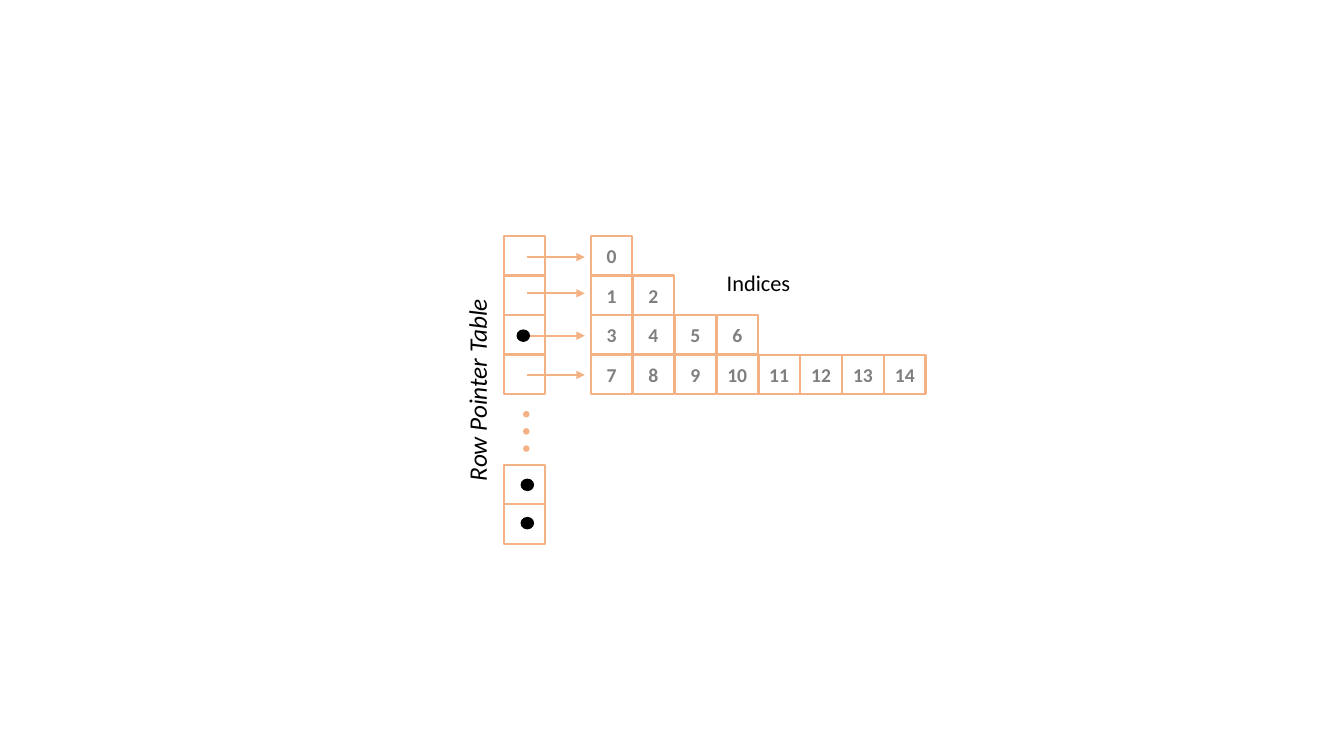
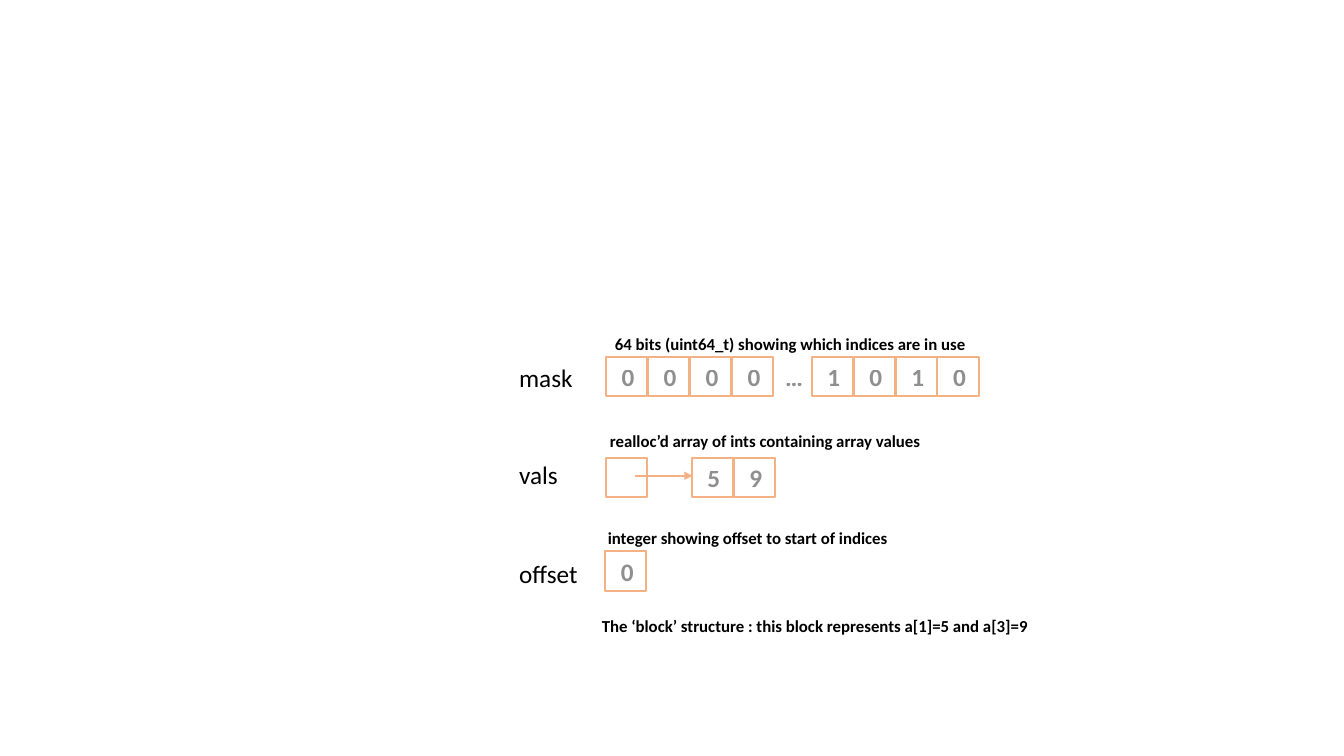
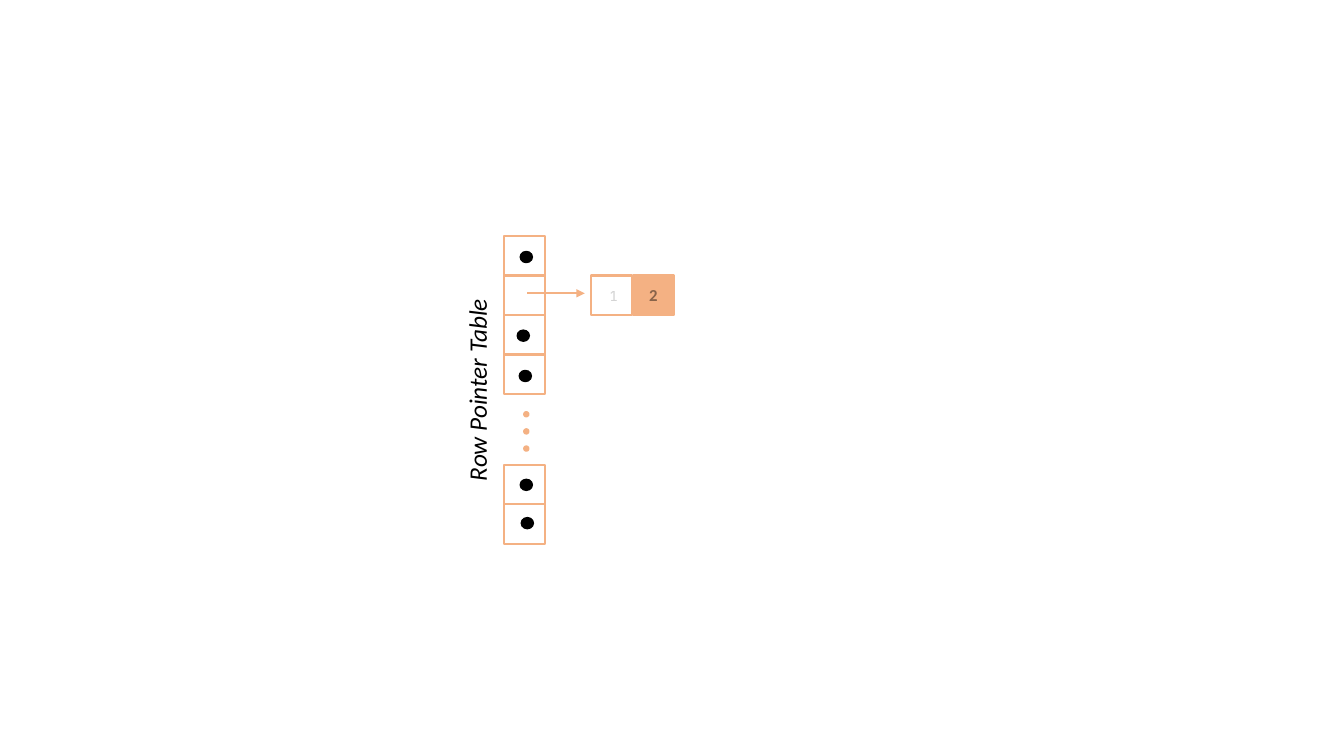
from dataclasses import dataclass
from typing import NamedTuple

from lxml import etree
from pptx import Presentation
from pptx.dml.color import RGBColor
from pptx.enum.shapes import MSO_CONNECTOR, MSO_SHAPE
from pptx.enum.text import MSO_ANCHOR, MSO_AUTO_SIZE, PP_ALIGN
from pptx.oxml.ns import qn
from pptx.util import Inches, Pt

RECTANGLE, OVAL = MSO_SHAPE.RECTANGLE, MSO_SHAPE.OVAL
STRAIGHT = MSO_CONNECTOR.STRAIGHT
LEFT, CENTER = PP_ALIGN.LEFT, PP_ALIGN.CENTER
TOP, MIDDLE = MSO_ANCHOR.TOP, MSO_ANCHOR.MIDDLE
GROW = MSO_AUTO_SIZE.SHAPE_TO_FIT_TEXT

ORANGE = RGBColor(0xF4, 0xB1, 0x83)
BLACK = RGBColor(0x00, 0x00, 0x00)
FONT = "Calibri"

# Grid of memory cells, in inches
CELL_W, CELL_H = 0.41, 0.39
COLUMN_PITCH = 2.91 / 7
ROW_PITCH = 1.18 / 3
TABLE_X, TABLE_Y = 5.0, 2.34
INDEX_X = 5.86
POINTER_ROWS = (0, 1, 2, 3, 5.77, 6.77)
ARROW_LENGTH = 0.57


class Point(NamedTuple):
    x: float
    y: float


@dataclass(frozen=True)
class TextStyle:
    size: float
    bold: bool = False
    italic: bool = False
    opacity: int = 100
    align: int = LEFT
    shift: float = 0  # left inset that moves a cell's text to the right


@dataclass(frozen=True)
class Label:
    text: str
    left: float
    top: float
    width: float
    height: float
    style: TextStyle
    vertical: bool = False


INDEX = TextStyle(14, bold=True, opacity=50, align=CENTER)
UNUSED_INDEX = TextStyle(12, opacity=16, align=CENTER, shift=0.04)
USED_INDEX = TextStyle(12, bold=True, opacity=44, align=CENTER)
VALUE = TextStyle(18, bold=True, opacity=44, align=CENTER, shift=0.03)
FIELD = TextStyle(18)
CAPTION = TextStyle(12, bold=True)

# Content
INDEX_ROWS = (range(0, 1), range(1, 3), range(3, 7), range(7, 15))
ARROW_YS = (2.55, 2.91, 3.33, 3.72)
SHARED_NULLS = (Point(5.19, 3.33), Point(5.23, 5.19))
ALL_ROWS_NULLS = (Point(5.23, 4.81),)
ONE_BLOCK_NULLS = (Point(5.22, 2.55), Point(5.21, 3.73), Point(5.22, 4.81))
TABLE_LABEL = Label("Row Pointer Table", 4.53, 2.34, 0.5, 3.06,
                    TextStyle(18, italic=True, align=CENTER), vertical=True)
INDICES_LABEL = Label("Indices", 7.11, 2.62, 1.66, 0.37, TextStyle(16))
VALUE_RUNS = (
    (Point(6.01, 3.54), ("0", "0", "0", "0")),
    (Point(8.05, 3.54), ("1", "0", "1", "0")),
    (Point(6.01, 4.54), ("",)),
    (Point(6.86, 4.54), ("5", "9")),
    (Point(6.0, 5.47), ("0",)),
)
BLOCK_LABELS = (
    Label("…", 7.63, 3.54, 0.49, 0.4,
          TextStyle(18, bold=True, opacity=44, align=CENTER)),
    Label("mask", 5.05, 3.55, 0.82, 0.4, FIELD),
    Label("vals", 5.05, 4.51, 0.82, 0.4, FIELD),
    Label("offset", 5.05, 5.49, 0.82, 0.4, FIELD),
    Label("64 bits (uint64_t) showing which indices are in use",
          6.0, 3.26, 4.18, 0.3, CAPTION),
    Label("realloc’d array of ints containing array values",
          5.95, 4.22, 3.75, 0.3, CAPTION),
    Label("integer showing offset to start of indices",
          5.93, 5.19, 3.13, 0.3, CAPTION),
    Label("The ‘block’ structure : this block represents a[1]=5 and a[3]=9",
          5.87, 6.06, 4.68, 0.3, CAPTION),
)


def set_all(target, values: dict) -> None:
    for name, value in values.items():
        setattr(target, name, value)


def write(frame, text: str, style: TextStyle) -> None:
    paragraph = frame.paragraphs[0]
    paragraph.alignment = style.align
    run = paragraph.add_run()
    run.text = text
    set_all(run.font, {"name": FONT, "size": Pt(style.size),
                       "bold": style.bold, "italic": style.italic})
    run.font.color.rgb = BLACK
    if style.opacity < 100:
        color = run.font.fill._xPr.find(".//" + qn("a:srgbClr"))
        etree.SubElement(color, qn("a:alpha"), val=str(style.opacity * 1000))


def add_figure(slide, kind: int, at: Point, width: float, height: float,
               fill: RGBColor | None, line: RGBColor, weight: float):
    figure = slide.shapes.add_shape(kind, *map(Inches, (*at, width, height)))
    figure.shadow.inherit = False
    if fill is None:
        figure.fill.background()
    else:
        figure.fill.solid()
        figure.fill.fore_color.rgb = fill
    figure.line.color.rgb = line
    figure.line.width = Pt(weight)
    return figure


def add_cell(slide, at: Point, text: str = "", style: TextStyle = INDEX,
             fill: RGBColor | None = None) -> None:
    cell = add_figure(slide, RECTANGLE, at, CELL_W, CELL_H, fill, ORANGE, 1.5)
    if text:
        set_all(cell.text_frame, {
            "margin_left": Inches(style.shift), "margin_right": 0,
            "margin_top": 0, "margin_bottom": 0,
            "vertical_anchor": MIDDLE, "word_wrap": True})
        write(cell.text_frame, text, style)


def add_dot(slide, center: Point, width: float, height: float,
            color: RGBColor) -> None:
    corner = Point(center.x - width / 2, center.y - height / 2)
    add_figure(slide, OVAL, corner, width, height, color, color, 1)


def add_arrow(slide, start: Point) -> None:
    ends = (*start, start.x + ARROW_LENGTH, start.y)
    arrow = slide.shapes.add_connector(STRAIGHT, *map(Inches, ends))
    arrow.line.color.rgb = ORANGE
    arrow.line.width = Pt(1.5)
    etree.SubElement(arrow.line._get_or_add_ln(), qn("a:tailEnd"),
                     type="triangle")
    etree.SubElement(arrow._element.spPr, qn("a:effectLst"))


def add_label(slide, label: Label) -> None:
    box = slide.shapes.add_textbox(*map(Inches, (
        label.left, label.top, label.width, label.height)))
    frame = box.text_frame
    set_all(frame, {"word_wrap": True, "auto_size": GROW,
                    "vertical_anchor": TOP})
    if label.vertical:
        frame._txBody.bodyPr.set("vert", "vert270")
    write(frame, label.text, label.style)


def grid_point(left: float, column: float, row: float) -> Point:
    return Point(left + column * COLUMN_PITCH, TABLE_Y + row * ROW_PITCH)


def add_pointer_table(slide, arrow_ys: tuple[float, ...],
                      nulls: tuple[Point, ...]) -> None:
    for row in POINTER_ROWS:
        add_cell(slide, grid_point(TABLE_X, 0, row))
    for y in arrow_ys:
        add_arrow(slide, Point(5.23, y))
    # Rows left out between the two parts of the table
    for step in range(3):
        add_dot(slide, Point(5.22, 4.11 + 0.17 * step), 0.05, 0.05, ORANGE)
    for center in SHARED_NULLS + nulls:
        add_dot(slide, center, 0.12, 0.11, BLACK)
    add_label(slide, TABLE_LABEL)


def build_all_rows(slide) -> None:
    for row, indices in enumerate(INDEX_ROWS):
        for column, index in enumerate(indices):
            add_cell(slide, grid_point(INDEX_X, column, row), str(index))
    add_pointer_table(slide, ARROW_YS, ALL_ROWS_NULLS)
    add_label(slide, INDICES_LABEL)


def build_block_structure(slide) -> None:
    for start, values in VALUE_RUNS:
        for column, value in enumerate(values):
            add_cell(slide, Point(start.x + column * COLUMN_PITCH, start.y),
                     value, VALUE)
    add_arrow(slide, Point(6.3, 4.72))
    for label in BLOCK_LABELS:
        add_label(slide, label)


def build_one_row(slide) -> None:
    add_cell(slide, grid_point(INDEX_X, 0, 1), "1", UNUSED_INDEX)
    add_cell(slide, grid_point(INDEX_X, 1, 1), "2", USED_INDEX, ORANGE)
    add_pointer_table(slide, ARROW_YS[1:2], ONE_BLOCK_NULLS)


def main() -> None:
    deck = Presentation()
    set_all(deck, {"slide_width": Inches(13.33), "slide_height": Inches(7.5)})
    blank = deck.slide_layouts[6]
    for build in (build_all_rows, build_block_structure, build_one_row):
        build(deck.slides.add_slide(blank))
    deck.save("out.pptx")


if __name__ == "__main__":
    main()
